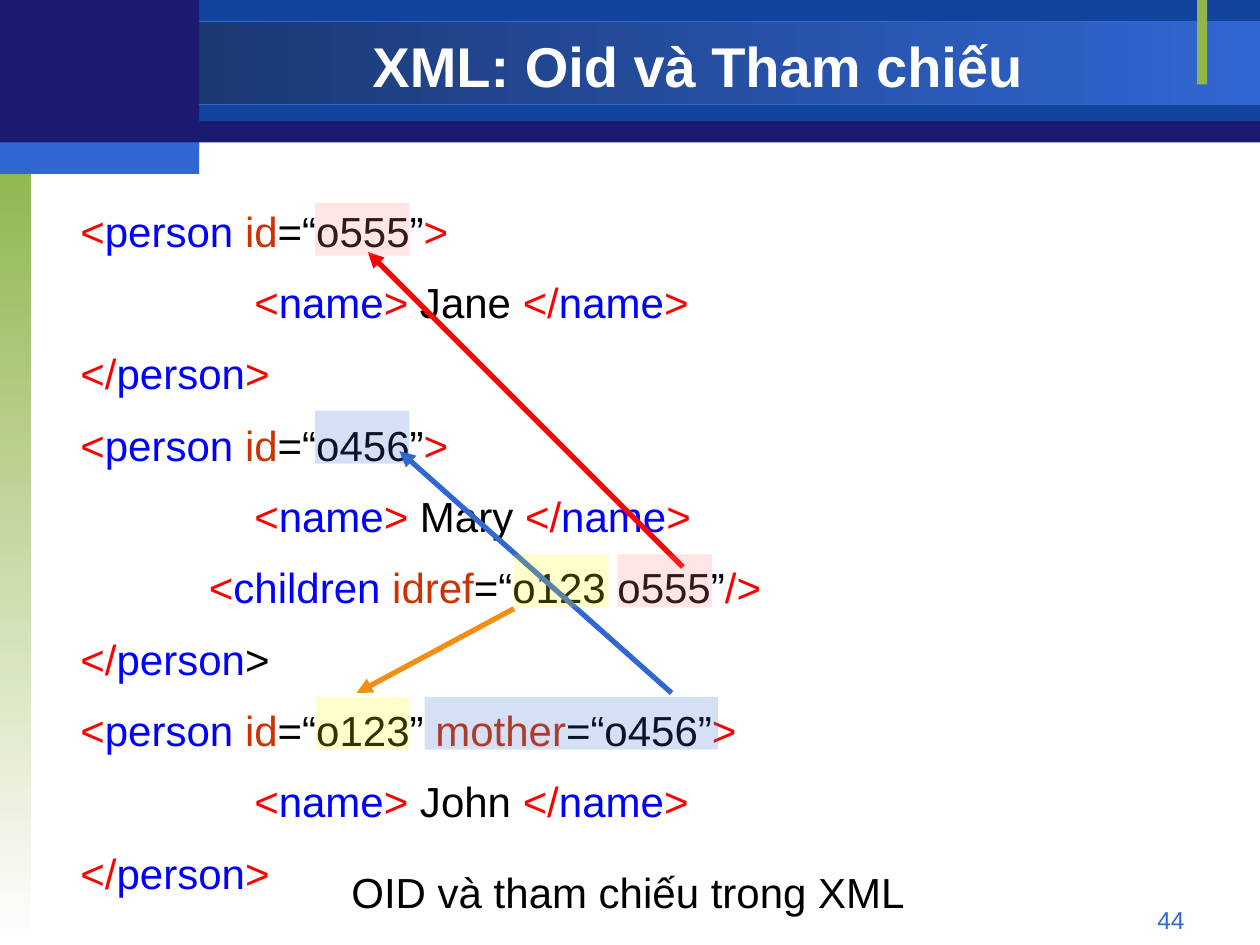
"""Slide on XML object identifiers and references between elements."""
import pptx
import pptx.util
import pptx.dml.color
import pptx.enum.shapes
import pptx.enum.text
import pptx.oxml.ns
import lxml.etree

RGB = pptx.dml.color.RGBColor
NAVY, DEEP, BLUE = RGB(0x1A, 0x1A, 0x70), RGB(0x12, 0x44, 0x9E), RGB(0x31, 0x67, 0xD3)
DUSK, GREEN, WHITE = RGB(0x17, 0x2F, 0x61), RGB(0x90, 0xB5, 0x4D), RGB(255, 255, 255)
RED, TAG, ATTR, BLACK = RGB(255, 0, 0), RGB(0, 0, 255), RGB(0xCC, 0x33, 0), RGB(0, 0, 0)
ORANGE, YELLOW, PINK = RGB(0xF4, 0x8D, 0x10), RGB(255, 255, 0), RGB(255, 0x81, 0x81)

TITLE = "XML: Oid và Tham chiếu"
CAPTION = "OID và tham chiếu trong XML"
NUMBER = "44"


def person(oid):
    return [("<", RED), ("person ", TAG), ("id", ATTR), (f"=“{oid}”", BLACK)]


def name(text):
    return 1.38, [("<", RED), ("name", TAG), (">", RED), (f" {text} ", BLACK),
                  ("</", RED), ("name", TAG), (">", RED)]


def close(end=RED):
    return 0, [("</", RED), ("person", TAG), (">", end)]


CODE = [
    (0, person("o555") + [(">", RED)]), name("Jane"), close(),
    (0, person("o456") + [(">", RED)]), name("Mary"),
    (1.02, [("<", RED), ("children ", TAG), ("idref", ATTR), ("=“o123 o555”", BLACK), ("/>", RED)]),
    close(BLACK),
    (0, person("o123") + [(" ", BLACK), ("mother", ATTR), ("=“o456”", BLACK), (">", RED)]),
    name("John"), close(),
]
BANDS = [
    ((0, 0.01, 10, 1.12), (NAVY,), None),
    ((1.58, 0, 8.42, 0.96), (DEEP,), None),
    ((0, 0.17, 10, 0.66), (DUSK, BLUE, 0), BLUE),
    ((0, 1.25, 0.25, 6.25), (GREEN, WHITE, 270), None),
    ((9.5, 0, 0.08, 0.67), (GREEN,), None),
    ((0, 0, 1.58, 1.17), (NAVY,), None),
    ((0, 1.13, 1.58, 0.25), (BLUE,), None),
]
ARROWS = [((5.33, 5.5), (3.17, 3.58), BLUE), ((5.42, 4.5), (2.92, 2), RED),
          ((4.08, 4.83), (2.83, 5.5), ORANGE)]
MOTHER = (3.37, 5.53, 2.33, BLUE)
MARKS = [(2.5, 3.26, 0.75, BLUE), (4.08, 4.4, 0.75, YELLOW), (2.5, 5.53, 0.75, YELLOW),
         (4.9, 4.4, 0.75, PINK), (2.5, 1.61, 0.75, PINK)]

ALIGN, ANCHOR = pptx.enum.text.PP_ALIGN, pptx.enum.text.MSO_ANCHOR
inch, pt, qn = pptx.util.Inches, pptx.util.Pt, pptx.oxml.ns.qn
prs = pptx.Presentation()
prs.slide_width, prs.slide_height = inch(10), inch(7.5)
s = prs.slides.add_slide(prs.slide_layouts[6])


def rect(box, colours, line=None, alpha=None):
    sp = s.shapes.add_shape(pptx.enum.shapes.MSO_SHAPE.RECTANGLE, *map(inch, box))
    sp.shadow.inherit = False
    if len(colours) == 1:
        sp.fill.solid()
        sp.fill.fore_color.rgb = colours[0]
    else:
        sp.fill.gradient()
        sp.fill.gradient_angle = colours[2]
        for stop, colour, position in zip(sp.fill.gradient_stops, colours, (0, 1)):
            stop.color.rgb, stop.position = colour, position
    if line is None:
        sp.line.fill.background()
    else:
        sp.line.color.rgb, sp.line.width = line, pt(0.75)
    if alpha:
        clr = sp.fill._xPr.find(".//" + qn("a:srgbClr"))
        lxml.etree.SubElement(clr, qn("a:alpha"), val=str(alpha * 1000))


def text(box, paragraphs, size, anchor=ANCHOR.TOP, bold=False, **formats):
    tf = s.shapes.add_textbox(*map(inch, box)).text_frame
    tf.word_wrap, tf.vertical_anchor = True, anchor
    for i, (indent, runs) in enumerate(paragraphs):
        p = tf.add_paragraph() if i else tf.paragraphs[0]
        for key, value in formats.items():
            setattr(p, key, value)
        if indent:
            p._p.get_or_add_pPr().set("marL", str(inch(indent)))
        for words, colour in runs:
            r = p.add_run()
            r.text = words
            for key, value in dict(name="Arial", size=pt(size), bold=bold).items():
                setattr(r.font, key, value)
            r.font.color.rgb = colour


def arrow(start, end, colour):
    c = s.shapes.add_connector(pptx.enum.shapes.MSO_CONNECTOR.STRAIGHT, *map(inch, start + end))
    c.line.color.rgb, c.line.width = colour, pt(3)
    lxml.etree.SubElement(c.line._get_or_add_ln(), qn("a:tailEnd"), type="triangle")
    lxml.etree.SubElement(c._element.spPr, qn("a:effectLst"))


def mark(x, y, width, colour):
    rect((x, y, width, 0.42), (colour,), alpha=20)


for band in BANDS:
    rect(*band)
text((7.17, 7.13, 2.33, 0.27), [(0, [(NUMBER, BLUE)])], 14, alignment=ALIGN.RIGHT)
text((1.58, 0.2, 7.92, 0.63), [(0, [(TITLE, WHITE)])], 32, ANCHOR.MIDDLE, True,
     alignment=ALIGN.CENTER)
text((0.54, 1.5, 9.46, 5.61), CODE, 24, line_spacing=1.2, space_before=pt(6.2))
text((0.8, 6.83, 8.37, 0.5), [(0, [(CAPTION, BLACK)])], 24, alignment=ALIGN.CENTER)
mark(*MOTHER)
for link in ARROWS:
    arrow(*link)
for spot in MARKS:
    mark(*spot)
prs.save("out.pptx")
